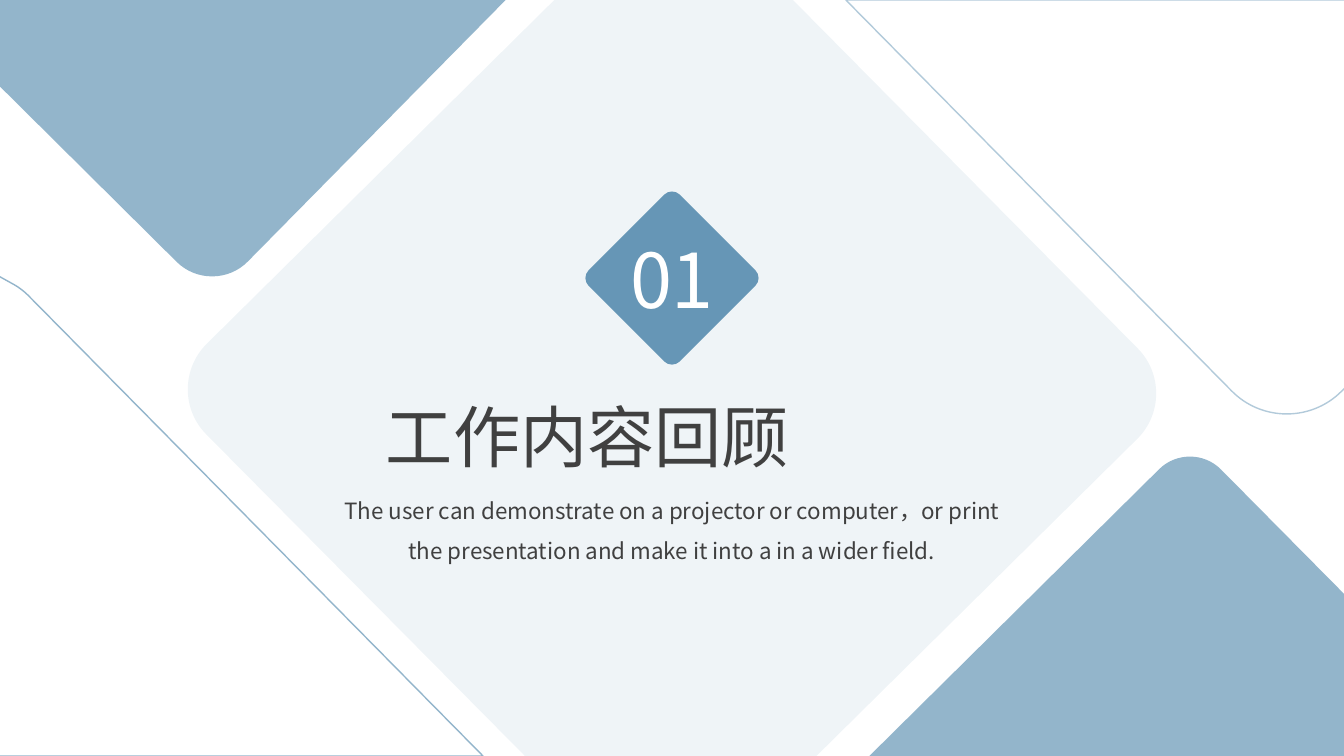
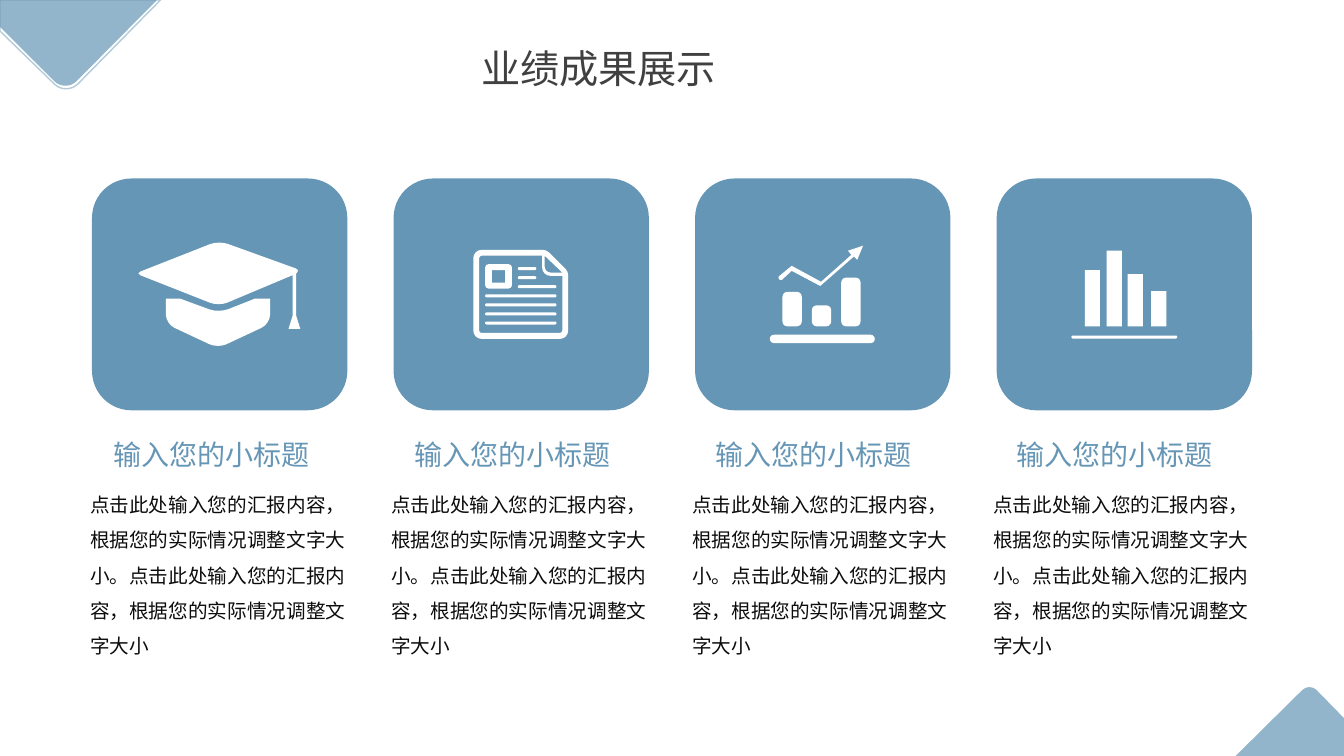
from dataclasses import dataclass
from math import hypot
from typing import Callable, NamedTuple, Sequence

from lxml import etree
from pptx import Presentation
from pptx.dml.color import RGBColor
from pptx.enum.shapes import MSO_SHAPE
from pptx.enum.text import MSO_ANCHOR, MSO_AUTO_SIZE, PP_ALIGN
from pptx.oxml.ns import qn
from pptx.util import Emu, Pt

ROUND, RECT = MSO_SHAPE.ROUNDED_RECTANGLE, MSO_SHAPE.RECTANGLE
LEFT, CENTER, JUSTIFY = PP_ALIGN.LEFT, PP_ALIGN.CENTER, PP_ALIGN.JUSTIFY
MIDDLE, GROW = MSO_ANCHOR.MIDDLE, MSO_AUTO_SIZE.SHAPE_TO_FIT_TEXT

COLS, ROWS = 160, 90
CELL = 76200
PULL = 0.55


@dataclass(frozen=True)
class TextStyle:
    size: int
    color: str
    align: PP_ALIGN = LEFT
    spacing: float = 1.0


@dataclass(frozen=True)
class Theme:
    font: str = "Noto Sans CJK SC"
    accent: str = "6696B6"
    white: str = "FFFFFF"
    number: TextStyle = TextStyle(54, "FFFFFF", CENTER)
    section: TextStyle = TextStyle(48, "404040", JUSTIFY)
    lead: TextStyle = TextStyle(16, "404040", CENTER, 1.5)
    title: TextStyle = TextStyle(28, "404040", JUSTIFY)
    heading: TextStyle = TextStyle(20, "6696B6")
    body: TextStyle = TextStyle(14, "0D0D0D", LEFT, 1.5)


THEME = Theme()


class Box(NamedTuple):
    x: float
    y: float
    w: float
    h: float

    def shifted(self, dx: float, dy: float = 0) -> "Box":
        return Box(self.x + dx, self.y + dy, self.w, self.h)


class Corner(NamedTuple):
    x: float
    y: float
    cut: float = 0


class Node(NamedTuple):
    x: int
    y: int
    controls: tuple = ()
    is_mid: bool = False


class Panel(NamedTuple):
    corners: Sequence[tuple]
    alpha: int
    outlined: bool = False


class Card(NamedTuple):
    heading: str
    text: str
    icon: Callable


SECTION_PANELS = (
    Panel(((-0.1, 32.9), (2.6, 34.4, 1), (57.5, 90), (-0.1, 90)), 70, True),
    Panel(((66, 0), (94.4, 0), (140.8, 46.9, 7.6), (97.2, 90), (62.5, 90),
           (19.2, 46.3, 7.6)), 10),
    Panel(((103.5, 90), (141.7, 52.2, 5.2), (160, 70.7), (160, 90)), 70),
    Panel(((0, 0), (60.2, 0), (25.3, 35.4, 6), (0, 10.3)), 70),
    Panel(((100.7, 0), (160.3, 0), (160.3, 46), (153.1, 53.1, 9.2)), 50, True),
)
CONTENT_PANELS = (
    Panel(((147.1, 90), (155.9, 81.3, 1.2), (160, 85.5), (160, 90)), 70),
    Panel(((0, 0), (18.7, 0), (7.8, 11, 1.9), (0, 3.2)), 70),
    Panel(((0, 0), (19.1, 0), (7.9, 11.4, 2), (0, 3.7)), 50, True),
)

BADGE_X, BADGE_Y, BADGE_HALF, BADGE_CUT = 80, 33.1, 10.85, 1.3
SECTION_BOX, LEAD_BOX = Box(44.75, 46.5, 70.2, 10.9), Box(39.1, 57, 81.8, 10.3)
TITLE_BOX = Box(56.1, 4.7, 47.8, 6.8)
CARD_BOX, CARD_PITCH = Box(10.95, 21.25, 30.4, 27.6), 35.9
ICON_SHIFT = -0.1
HEADING_BOX, BODY_BOX = Box(12.3, 51.5, 27.8, 5.3), Box(9.55, 56.7, 33.4, 22)
TEXT_PITCH = 35.84

CAP_BASE = ((8.9, 14.3), (10.6, 14.3), (15.2, 16, 1.2), (19.5, 14.3),
            (21.3, 14.3), (21.3, 17.3, 1.1), (15.1, 20.2, 1.1), (8.9, 17.3, 1.1))
CAP_BOARD = ((15.2, 7.4, 1.1), (24.9, 10.9, 0.5), (24.4, 11.3), (24.4, 16.3),
             (24.9, 17.9), (23.5, 17.9), (24, 16.3), (24, 11.5),
             (15.2, 15.2, 1.1), (5.3, 11.3, 0.6))
PAGE_EDGE = ((9.6, 8.5, 1), (18.3, 8.5, 0.4), (20.9, 11.1, 0.4), (20.9, 19.1, 1),
             (9.6, 19.1, 1))
PAGE_INSIDE = ((10.3, 9.2, 0.3), (17.8, 9.2), (17.8, 11.6, 1), (20.2, 11.6),
               (20.2, 18.4, 0.3), (10.3, 18.4, 0.3))
PAGE_FOLD = ((18.1, 9.2), (20.2, 11.2), (18.1, 11.2, 0.7))
PHOTO_EDGE = ((11, 10.2, 0.4), (14.2, 10.2, 0.4), (14.2, 13.1, 0.4), (11, 13.1, 0.4))
PHOTO_INSIDE = ((11.8, 10.9), (13.4, 10.9), (13.4, 12.4), (11.8, 12.4))
PAGE_LINES = ((14.9, 2.2), (14.9, 2.2), (14.9, 4.6)) + ((11, 8.5),) * 4
TREND_ARROW = ((10.3, 12.2, 0.2), (11.6, 11), (15, 12.8), (19, 9.3), (19.4, 9.7),
               (20.1, 8), (18.3, 8.6), (18.7, 9.1), (15.1, 12.3), (11.6, 10.4),
               (9.9, 11.8, 0.2))
BAR_FLOOR = 17.6


def emu(cells: float) -> Emu:
    return Emu(round(cells * CELL))


def toward(a: tuple, b: tuple, share: float) -> tuple:
    return a[0] + (b[0] - a[0]) * share, a[1] + (b[1] - a[1]) * share


def outline(corners: Sequence[tuple], dx: float, dy: float) -> list:
    pts = [Corner(x + dx, y + dy, *cut) for x, y, *cut in corners]
    nodes = []
    for i, c in enumerate(pts):
        if not c.cut:
            nodes.append(Node(emu(c.x), emu(c.y)))
            continue
        a, b = (toward(c, n, c.cut / hypot(n.x - c.x, n.y - c.y))
                for n in (pts[i - 1], pts[(i + 1) % len(pts)]))
        mid = toward(toward(a, b, 0.5), c, 0.75 * PULL)
        controls = tuple(tuple(map(emu, toward(end, c, PULL))) for end in (a, b))
        nodes += [Node(*map(emu, a)), Node(*map(emu, mid), is_mid=True),
                  Node(*map(emu, b), controls=controls)]
    return nodes


def round_corners(sp, nodes: Sequence[Node]) -> None:
    tags = (qn("a:moveTo"), qn("a:lnTo"))
    steps = list(sp._element.spPr.iter(*tags))
    for step, node in zip(steps, nodes):
        if node.is_mid:
            step.getparent().remove(step)
        elif node.controls:
            step_curve = etree.Element(qn("a:cubicBezTo"))
            for x, y in (*node.controls, (node.x, node.y)):
                etree.SubElement(step_curve, qn("a:pt"),
                                 x=str(x - sp.left), y=str(y - sp.top))
            step.getparent().replace(step, step_curve)


def paint(sp, color: str, alpha: int = 100, outlined: bool = False) -> None:
    sp.shadow.inherit = False
    if outlined:
        sp.fill.background()
        sp.line.color.rgb = RGBColor.from_string(color)
        sp.line.width = Pt(1)
    else:
        sp.fill.solid()
        sp.fill.fore_color.rgb = RGBColor.from_string(color)
        sp.line.fill.background()
    if alpha < 100:
        for clr in sp._element.spPr.iter(qn("a:srgbClr")):
            etree.SubElement(clr, qn("a:alpha"), val=str(alpha * 1000))


def draw_outline(shapes, *loops: Sequence[tuple], color: str = THEME.white,
                 dx: float = 0, dy: float = 0, alpha: int = 100,
                 outlined: bool = False):
    paths = [outline(loop, dx, dy) for loop in loops]
    start = paths[0][0]
    builder = shapes.build_freeform(start.x, start.y, scale=1.0)
    for i, (first, *rest) in enumerate(paths):
        if i:
            builder.move_to(first.x, first.y)
        builder.add_line_segments([(n.x, n.y) for n in rest], close=True)
    sp = builder.convert_to_shape()
    round_corners(sp, sum(paths, []))
    paint(sp, color, alpha, outlined)
    return sp


def draw_box(shapes, box: Box, color: str = THEME.white, radius: float = 0):
    sp = shapes.add_shape(ROUND if radius else RECT, *map(emu, box))
    if radius:
        sp.adjustments[0] = radius
    paint(sp, color)
    return sp


def write(tf, text: str, style: TextStyle) -> None:
    tf.word_wrap = True
    p = tf.paragraphs[0]
    for name, value in {"alignment": style.align,
                        "line_spacing": style.spacing}.items():
        setattr(p, name, value)
    r = p.add_run()
    r.text = text
    r.font.color.rgb = RGBColor.from_string(style.color)
    for name, value in {"name": THEME.font, "size": Pt(style.size)}.items():
        setattr(r.font, name, value)
    etree.SubElement(r._r.get_or_add_rPr(), qn("a:ea"), typeface=THEME.font)


def add_text(s, box: Box, text: str, style: TextStyle) -> None:
    tf = s.shapes.add_textbox(*map(emu, box)).text_frame
    write(tf, text, style)
    tf.auto_size = GROW


def draw_panels(s, panels: Sequence[Panel]) -> None:
    for panel in panels:
        draw_outline(s.shapes, panel.corners, color=THEME.accent,
                     alpha=panel.alpha, outlined=panel.outlined)


def cap_icon(shapes, x: float, y: float) -> None:
    draw_outline(shapes, CAP_BASE, CAP_BOARD, dx=x, dy=y)


def page_icon(shapes, x: float, y: float) -> None:
    draw_outline(shapes, PAGE_EDGE, PAGE_INSIDE, PAGE_FOLD, dx=x, dy=y)
    draw_outline(shapes, PHOTO_EDGE, PHOTO_INSIDE, dx=x, dy=y)
    for i, (left, width) in enumerate(PAGE_LINES):
        line = Box(left, 10.55 + 1.08 * i, width, 0.36)
        draw_box(shapes, line.shifted(x, y), radius=0.5)


def trend_icon(shapes, x: float, y: float) -> None:
    for i, height in enumerate((4.1, 2.5, 5.8)):
        bar = Box(10.5 + 3.5 * i, BAR_FLOOR - height, 2.3, height)
        draw_box(shapes, bar.shifted(x, y), radius=0.25)
    draw_box(shapes, Box(9, 18.6, 12.5, 1).shifted(x, y), radius=0.5)
    draw_outline(shapes, TREND_ARROW, dx=x, dy=y)


def bars_icon(shapes, x: float, y: float) -> None:
    draw_box(shapes, Box(9, 18.7, 12.6, 0.36).shifted(x, y), radius=0.5)
    for left, height in ((10.6, 6.7), (13.2, 9), (15.7, 6.2), (18.5, 4.2)):
        bar = Box(left, BAR_FLOOR - height, 1.8, height)
        draw_box(shapes, bar.shifted(x, y))


HEADING = "输入您的小标题"
BODY = "点击此处输入您的汇报内容，根据您的实际情况调整文字大小。" \
       "点击此处输入您的汇报内容，根据您的实际情况调整文字大小"
CARDS = [Card(HEADING, BODY, icon)
         for icon in (cap_icon, page_icon, trend_icon, bars_icon)]


def new_slide(prs):
    return prs.slides.add_slide(prs.slide_layouts[6])


def section_slide(prs, number: str, title: str, lead: str) -> None:
    s = new_slide(prs)
    draw_panels(s, SECTION_PANELS)
    diamond = [(BADGE_X + i * BADGE_HALF, BADGE_Y + j * BADGE_HALF, BADGE_CUT)
               for i, j in ((0, -1), (1, 0), (0, 1), (-1, 0))]
    badge = draw_outline(s.shapes, diamond, color=THEME.accent)
    tf = badge.text_frame
    tf.vertical_anchor = MIDDLE
    write(tf, number, THEME.number)
    add_text(s, SECTION_BOX, title, THEME.section)
    add_text(s, LEAD_BOX, lead, THEME.lead)


def cards_slide(prs, title: str, cards: Sequence[Card]) -> None:
    s = new_slide(prs)
    for i, card in enumerate(cards):
        box = CARD_BOX.shifted(i * CARD_PITCH)
        draw_box(s.shapes, box, THEME.accent, radius=0.17)
        card.icon(s.shapes, box.x + ICON_SHIFT, box.y)
        add_text(s, HEADING_BOX.shifted(i * TEXT_PITCH), card.heading, THEME.heading)
        add_text(s, BODY_BOX.shifted(i * TEXT_PITCH), card.text, THEME.body)
    draw_panels(s, CONTENT_PANELS)
    add_text(s, TITLE_BOX, title, THEME.title)


def main() -> None:
    prs = Presentation()
    prs.slide_width, prs.slide_height = emu(COLS), emu(ROWS)
    section_slide(prs, "01", "工作内容回顾",
                  "The user can demonstrate on a projector or computer，or print "
                  "the presentation and make it into a in a wider field.")
    cards_slide(prs, "业绩成果展示", CARDS)
    prs.save("out.pptx")


if __name__ == "__main__":
    main()
